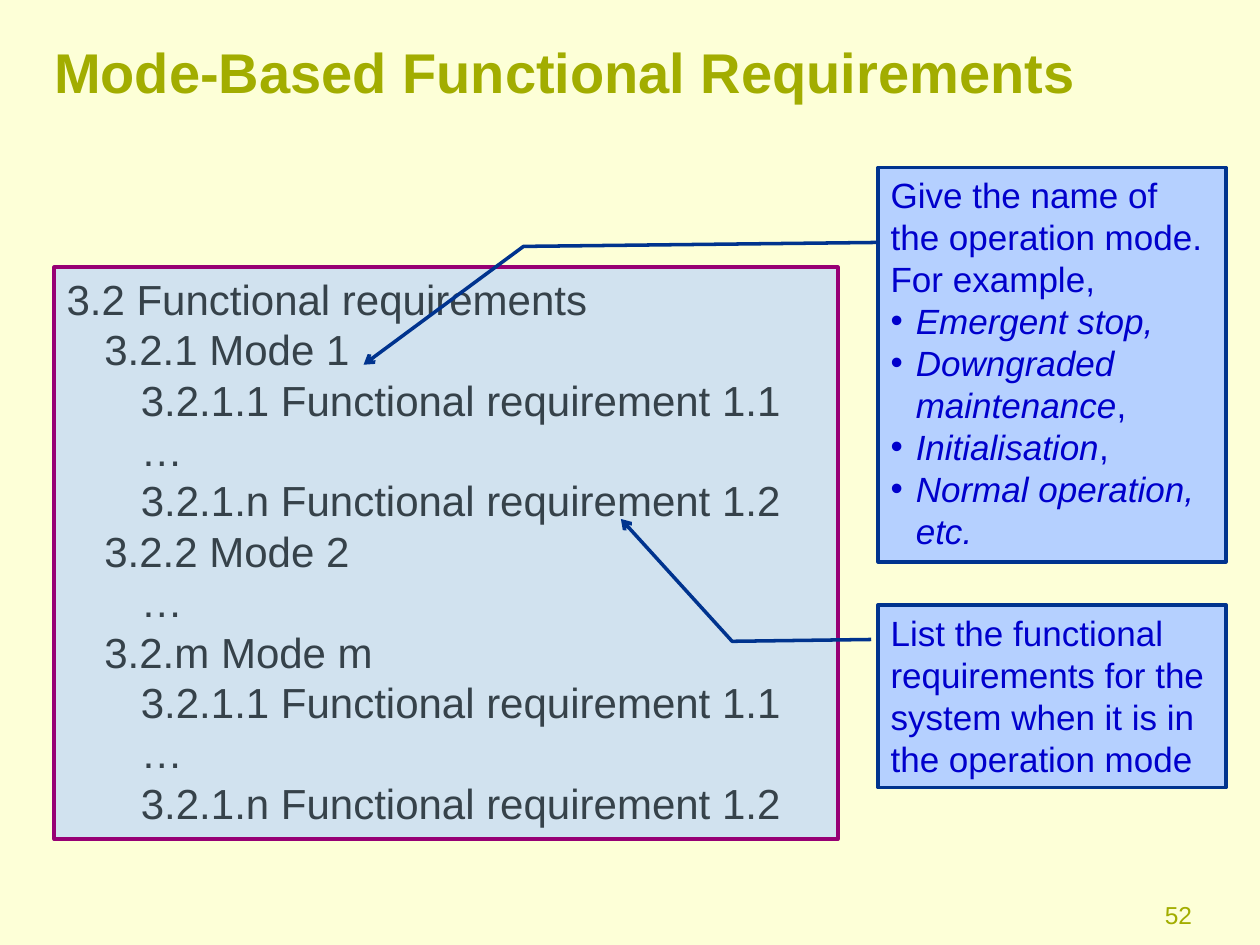
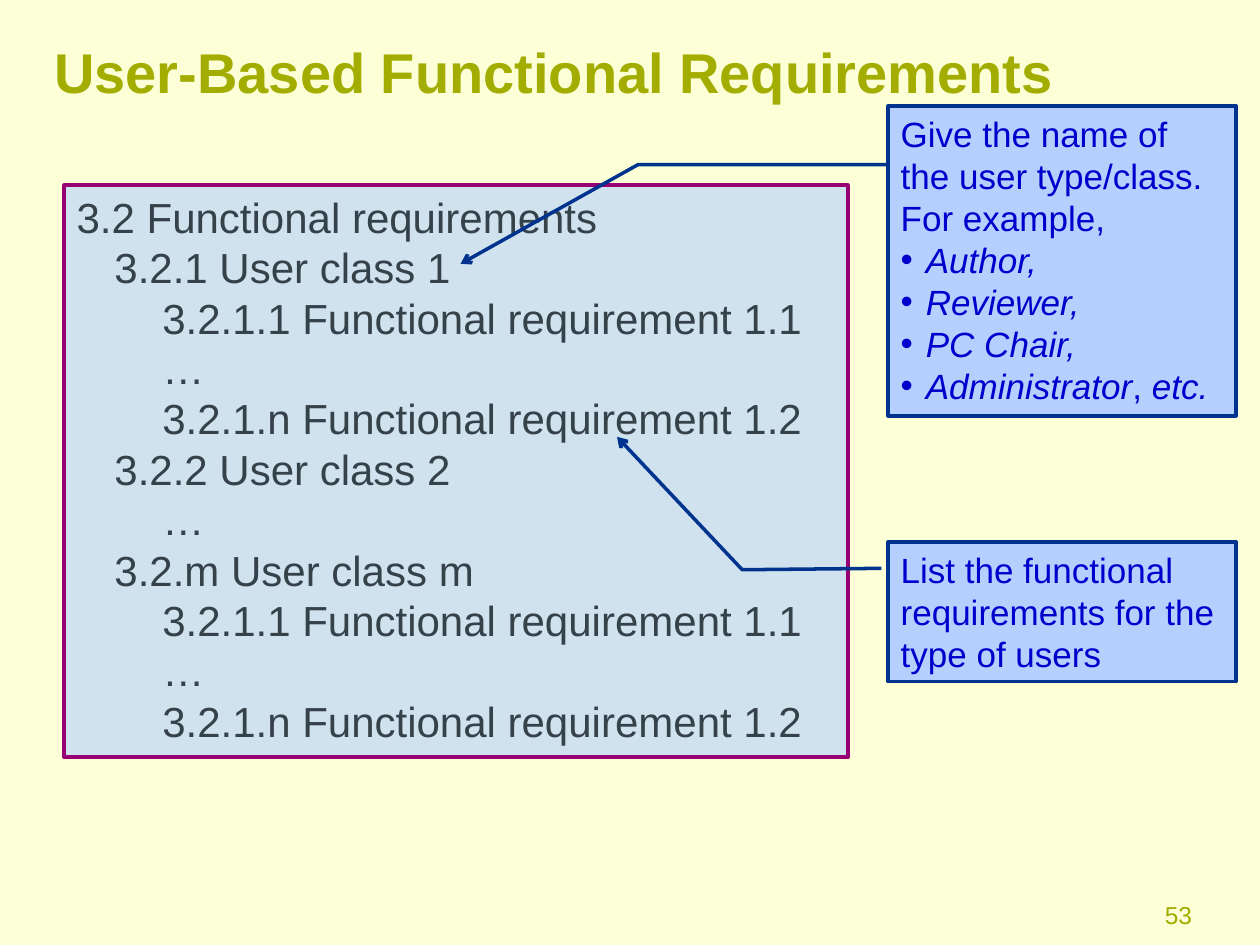
import dataclasses

import pptx
import pptx.dml.color
import pptx.enum.shapes
import pptx.enum.text
import pptx.oxml
import pptx.oxml.ns
import pptx.util

SHAPE = pptx.enum.shapes.MSO_SHAPE
ALIGN = pptx.enum.text.PP_ALIGN
ANCHOR = pptx.enum.text.MSO_ANCHOR
FIT = pptx.enum.text.MSO_AUTO_SIZE


@dataclasses.dataclass(frozen=True)
class Theme:
    font: str = "Arial"
    paper: str = "FDFFD7"
    olive: str = "A2AD00"
    slate: str = "36424A"
    sky: str = "B5D0FF"
    plum: str = "970074"
    navy: str = "00338E"
    blue: str = "0000CC"
    title: int = 32
    body: int = 24
    note: int = 20
    foot: int = 14
    line: int = 2


THEME = Theme()
COLS, ROWS = 100, 75
WIDTH, HEIGHT = pptx.util.Inches(10), pptx.util.Inches(7.5)


def place(left, top, wide, high):
    """Turn columns and rows of the slide grid into lengths."""
    col, row = WIDTH / COLS, HEIGHT / ROWS
    return [round(n) for n in (left * col, top * row, wide * col, high * row)]


def color(code):
    return pptx.dml.color.RGBColor.from_string(code)


def add_xml(parent, tag, **attrs):
    node = pptx.oxml.parse_xml(f"<a:{tag} {pptx.oxml.ns.nsdecls('a')}/>")
    for name, value in attrs.items():
        node.set(name, str(value))
    parent.append(node)
    return node


def write(shape, lines, size, ink, bold=False, align=ALIGN.LEFT,
          anchor=ANCHOR.TOP, fit=FIT.NONE, tabs=(), bullets=False):
    """Fill a shape with lines; asterisks enclose italics.

    With bullets, every line after the first is a list item.
    """
    frame = shape.text_frame
    frame.word_wrap = True
    frame.auto_size = fit
    frame.vertical_anchor = anchor
    for i, line in enumerate(lines):
        para = frame.paragraphs[0] if i == 0 else frame.add_paragraph()
        para.alignment = align
        props = para._p.get_or_add_pPr()
        if bullets and i:
            hang = round(0.02 * WIDTH)
            props.set("marL", str(hang))
            props.set("indent", str(-hang))
            add_xml(props, "buFont", typeface=THEME.font)
            add_xml(props, "buChar", char="•")
        if tabs:
            stops = add_xml(props, "tabLst")
            for tab in tabs:
                add_xml(stops, "tab", pos=round(tab * WIDTH / COLS), algn="l")
        for j, part in enumerate(line.split("*")):
            if not part:
                continue
            run = para.add_run()
            run.text = part
            run.font.name = THEME.font
            run.font.size = pptx.util.Pt(size)
            run.font.bold = bold
            run.font.italic = j % 2 == 1
            run.font.color.rgb = color(ink)


def add_box(slide, kind, area, edge):
    box = slide.shapes.add_shape(kind, *place(*area))
    box.shadow.inherit = False
    box.fill.solid()
    box.fill.fore_color.rgb = color(THEME.sky)
    box.line.color.rgb = color(edge)
    box.line.width = pptx.util.Pt(THEME.line)
    return box


def add_base(deck, title, number):
    """Start a slide with the shared background, title and number."""
    slide = deck.slides.add_slide(deck.slide_layouts[6])
    slide.background.fill.solid()
    slide.background.fill.fore_color.rgb = color(THEME.paper)
    head = slide.shapes.add_textbox(*place(4.3, 2.1, 92.5, 7.1))
    head.text_frame.margin_left = 0
    write(head, [title], THEME.title, THEME.olive, bold=True,
          anchor=ANCHOR.MIDDLE)
    foot = slide.shapes.add_textbox(*place(89.9, 70.9, 5.7, 3.9))
    write(foot, [str(number)], THEME.foot, THEME.olive, align=ALIGN.RIGHT)
    return slide


def add_outline(slide, left, top, group, tabs):
    """Draw the section outline, with its requirements under each group."""
    needs = ["\t\t3.2.1.1 Functional requirement 1.1", "\t\t…",
             "\t\t3.2.1.n Functional requirement 1.2"]
    lines = ["3.2 Functional requirements"]
    for key, items in (("1", needs), ("2", ["\t\t…"]), ("m", needs)):
        lines += [f"\t3.2.{key} {group} {key}", *items]
    box = add_box(slide, SHAPE.RECTANGLE, (left, top, 62.2, 45.4), THEME.plum)
    fill = box._element.spPr.find(pptx.oxml.ns.qn("a:solidFill"))
    add_xml(fill[0], "alpha", val=60000)
    write(box, lines, THEME.body, THEME.slate, tabs=tabs,
          fit=FIT.SHAPE_TO_FIT_TEXT)


def add_note(slide, left, top, high, lines, start, elbow, tip):
    """Draw a callout; leader points are (x, y) shares of its size."""
    box = add_box(slide, SHAPE.LINE_CALLOUT_2, (left, top, 27.6, high),
                  THEME.navy)
    for i, (x, y) in enumerate((start, elbow, tip)):
        box.adjustments[2 * i] = y
        box.adjustments[2 * i + 1] = x
    add_xml(box.line._get_or_add_ln(), "tailEnd", type="arrow")
    write(box, lines, THEME.note, THEME.blue, bullets=True,
          fit=FIT.SHAPE_TO_FIT_TEXT)


def main():
    deck = pptx.Presentation()
    deck.slide_width, deck.slide_height = WIDTH, HEIGHT
    touch, apart = (0, 0.19), (-0.02, 0.19)
    bend = (-0.42, 0.2)

    mode = add_base(deck, "Mode-Based Functional Requirements", 52)
    add_outline(mode, 4.3, 21.2, "Mode", (3, 5.9))
    add_note(mode, 69.7, 13.3, 31.3,
             ["Give the name of the operation mode. For example,",
              "*Emergent stop,*", "*Downgraded maintenance*,",
              "*Initialisation*,", "*Normal operation, etc.*"],
             touch, (-1.02, 0.2), (-1.48, 0.5))
    add_note(mode, 69.7, 48, 14.5,
             ["List the functional requirements for the system "
              "when it is in the operation mode"],
             apart, bend, (-0.74, -0.47))

    user = add_base(deck, "User-Based Functional Requirements", 53)
    add_outline(user, 5.1, 14.7, "User class", (3, 6.8))
    add_note(user, 70.5, 8.4, 24.6,
             ["Give the name of the user type/class. For example,",
              "*Author,*", "*Reviewer,*", "*PC Chair,*",
              "*Administrator*, *etc.*"],
             touch, (-0.72, 0.19), (-1.23, 0.51))
    add_note(user, 70.5, 43, 11.1,
             ["List the functional requirements for the type of users"],
             apart, bend, (-0.78, -0.75))

    deck.save("out.pptx")


if __name__ == "__main__":
    main()
